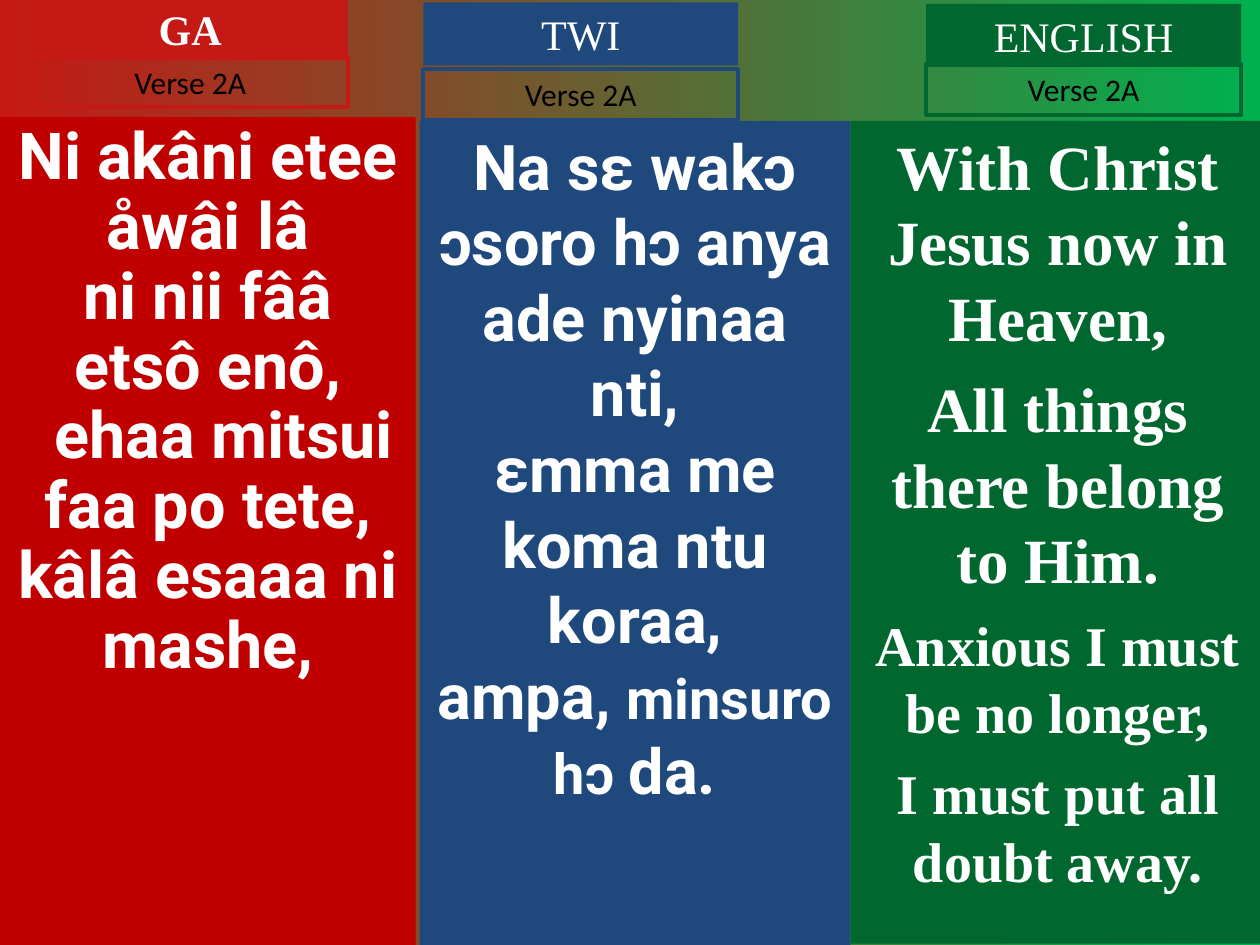
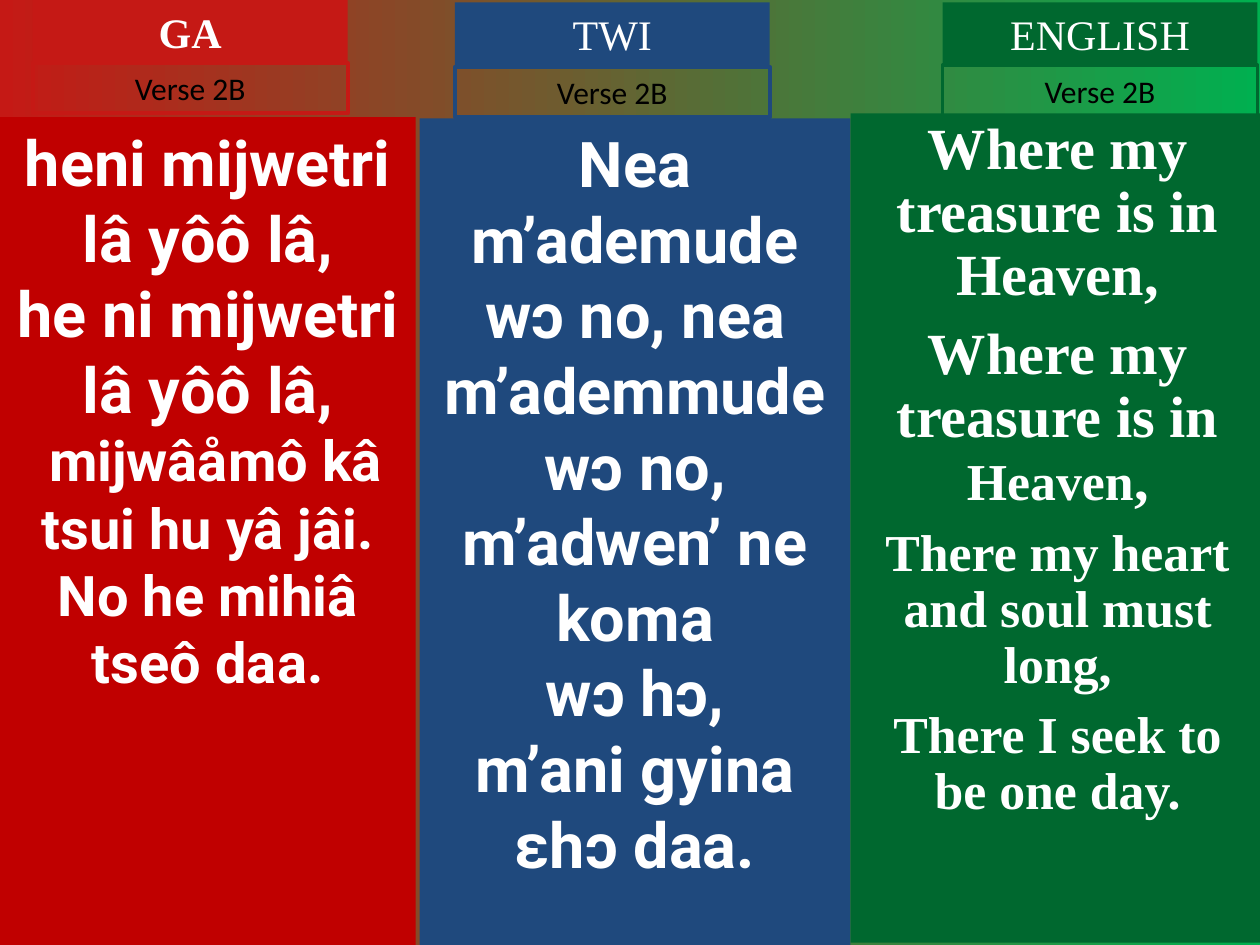
"""Build two hymn slides with the verse in Ga, Twi and English columns."""
from dataclasses import dataclass

from pptx import Presentation
from pptx.dml.color import RGBColor
from pptx.enum import shapes, text
from pptx.util import Pt


@dataclass(frozen=True)
class Theme:
    """Colours, fonts and type sizes of the deck."""
    white: str = "FFFFFF"
    black: str = "000000"
    red: str = "C51915"
    deep: str = "C00000"
    blue: str = "1F497D"
    green: str = "00682F"
    lime: str = "00B050"
    sans: str = "Roboto"
    serif: str = "Times New Roman"
    label: str = "Calibri"
    huge: float = 37
    big: float = 36
    mid: float = 32
    tight: float = 33.3
    small: float = 29.6
    head: float = 24
    tag: float = 18
    edge: float = 2.25


T = Theme()


@dataclass(frozen=True)
class Tongue:
    """What a language column keeps on every slide."""
    name: str
    tint: str
    fill: str
    font: str
    left: float
    width: float
    bold: bool = False


@dataclass(frozen=True)
class Box:
    """A rectangle in points."""
    left: float
    top: float
    width: float
    height: float


@dataclass(frozen=True)
class Line:
    """A paragraph made of (text, size) bits."""
    bits: tuple[tuple[str, float], ...]
    gap: float = 0
    indent: float = 0
    pitch: float = 1


@dataclass(frozen=True)
class Column:
    """Places and words of one column on one slide."""
    top: float
    head: tuple[float, float]
    tag: float
    lines: list[Line]
    foot: float = 540


@dataclass(frozen=True)
class Verse:
    """One slide: its label and its three columns."""
    label: str
    cols: tuple[Column, Column, Column]


GA = Tongue("GA", T.red, T.deep, T.sans, 0, 237.6, True)
TWI = Tongue("TWI", T.blue, T.blue, T.sans, 239.8, 246.2)
ENG = Tongue("ENGLISH", T.green, T.green, T.serif, 486, 236.9)


def plain(words: str, size: float, gap: float = 0, indent: float = 0,
          pitch: float = 1) -> Line:
    """Make a line with a single size."""
    return Line(((words, size),), gap, indent, pitch)


VERSES = [
    Verse("Verse 2A", (
        Column(67, (18.7, -1.4), 32.4, [
            plain("Ni akâni etee åwâi lâ", T.huge, pitch=0.9),
            plain("ni nii fââ etsô enô,", T.huge, pitch=0.9),
            plain("ehaa mitsui faa po tete,", T.huge, indent=18, pitch=0.9),
            plain("kâlâ esaaa ni mashe,", T.huge, pitch=0.9),
        ]),
        Column(69.1, (241.9, 1.4), 39.6, [
            plain("Na sɛ wakɔ ɔsoro hɔ anya ade nyinaa nti,", T.big),
            plain("ɛmma me koma ntu koraa,", T.big),
            Line((("ampa, ", T.big), ("minsuro hɔ ", T.mid), ("da.", T.big))),
        ]),
        Column(69.1, (529.2, 2.2), 36.7, [
            plain("With Christ Jesus now in Heaven,", T.big),
            plain("All things there belong to Him.", T.big, 9),
            plain("Anxious I must be no longer,", T.mid, 8),
            plain("I must put all doubt away.", T.mid, 8),
        ], 539.3),
    )),
    Verse("Verse 2B", (
        Column(67, (18.7, 0), 36, [
            plain("heni mijwetri lâ yôô lâ,", T.big),
            plain("he ni mijwetri lâ yôô lâ,", T.big),
            plain("mijwâåmô kâ tsui hu yâ jâi.", T.mid, indent=9),
            plain("No he mihiâ tseô daa.", T.mid),
        ]),
        Column(67.7, (259.9, 1.4), 38.2, [
            plain("Nea m’ademude wɔ no, nea m’ademmude wɔ no,", T.big),
            plain("m’adwen’ ne koma", T.big),
            plain("wɔ hɔ,", T.big),
            plain("m’ani gyina ɛhɔ daa.", T.big),
        ]),
        Column(64.8, (538.6, 1.4), 37.4, [
            plain("Where my treasure is in Heaven,", T.tight, pitch=0.9),
            Line((("Where my treasure is in ", T.tight), ("Heaven", T.small),
                  (",", T.tight)), 9, pitch=0.9),
            plain("There my heart and soul must long,", T.small, 8, pitch=0.9),
            plain("There I seek to be one day.", T.small, 8, pitch=0.9),
        ], 538.6),
    )),
]


def draw(slide, box: Box, lines: list[Line], font: str, ink: str, bold: bool,
         fill: str | None = None, edge: str | None = None, grow: bool = False) -> None:
    """Draw a rectangle holding centred text."""
    rect = slide.shapes.add_shape(
        shapes.MSO_SHAPE.RECTANGLE,
        Pt(box.left), Pt(box.top), Pt(box.width), Pt(box.height))
    rect.shadow.inherit = False
    if fill:
        rect.fill.solid()
        rect.fill.fore_color.rgb = RGBColor.from_string(fill)
    else:
        rect.fill.background()
    if edge:
        rect.line.color.rgb = RGBColor.from_string(edge)
        rect.line.width = Pt(T.edge)
    else:
        rect.line.fill.background()
    frame = rect.text_frame
    frame.word_wrap = True
    frame.vertical_anchor = text.MSO_ANCHOR.TOP
    if grow:
        frame.auto_size = text.MSO_AUTO_SIZE.SHAPE_TO_FIT_TEXT
    for i, line in enumerate(lines):
        para = frame.add_paragraph() if i else frame.paragraphs[0]
        para.alignment = text.PP_ALIGN.CENTER
        para.space_before = Pt(line.gap)
        para.line_spacing = float(line.pitch)
        if line.indent:
            para._p.get_or_add_pPr().set("indent", str(Pt(line.indent)))
        for words, size in line.bits:
            run = para.add_run()
            run.text = words
            run.font.name = font
            run.font.size = Pt(size)
            run.font.bold = bold
            run.font.color.rgb = RGBColor.from_string(ink)


def column(slide, tongue: Tongue, col: Column, label: str) -> None:
    """Draw the panel, heading and verse label of a language."""
    panel = Box(tongue.left, col.top, tongue.width, col.foot - col.top)
    draw(slide, panel, col.lines, tongue.font, T.white, True, fill=tongue.fill)
    left, top = col.head
    draw(slide, Box(left, top, 180, 36), [plain(tongue.name, T.head)],
         T.serif, T.white, tongue.bold, fill=tongue.tint, grow=True)
    draw(slide, Box(left, col.tag, 180, 28.8), [plain(label, T.tag)],
         T.label, T.black, False, edge=tongue.tint, grow=True)


def backdrop(slide) -> None:
    """Fill the background with the red to green gradient."""
    fill = slide.background.fill
    fill.gradient()
    fill.gradient_angle = 0
    for stop, tint, place in zip(fill.gradient_stops, (T.red, T.lime), (0, 1)):
        stop.color.rgb = RGBColor.from_string(tint)
        stop.position = place


def main() -> None:
    """Build and save the deck."""
    deck = Presentation()
    deck.slide_width, deck.slide_height = Pt(720), Pt(540)
    blank = deck.slide_layouts.get_by_name("Blank")
    for verse in VERSES:
        slide = deck.slides.add_slide(blank)
        backdrop(slide)
        for tongue, col in zip((GA, TWI, ENG), verse.cols):
            column(slide, tongue, col, verse.label)
    deck.save("out.pptx")


if __name__ == "__main__":
    main()
